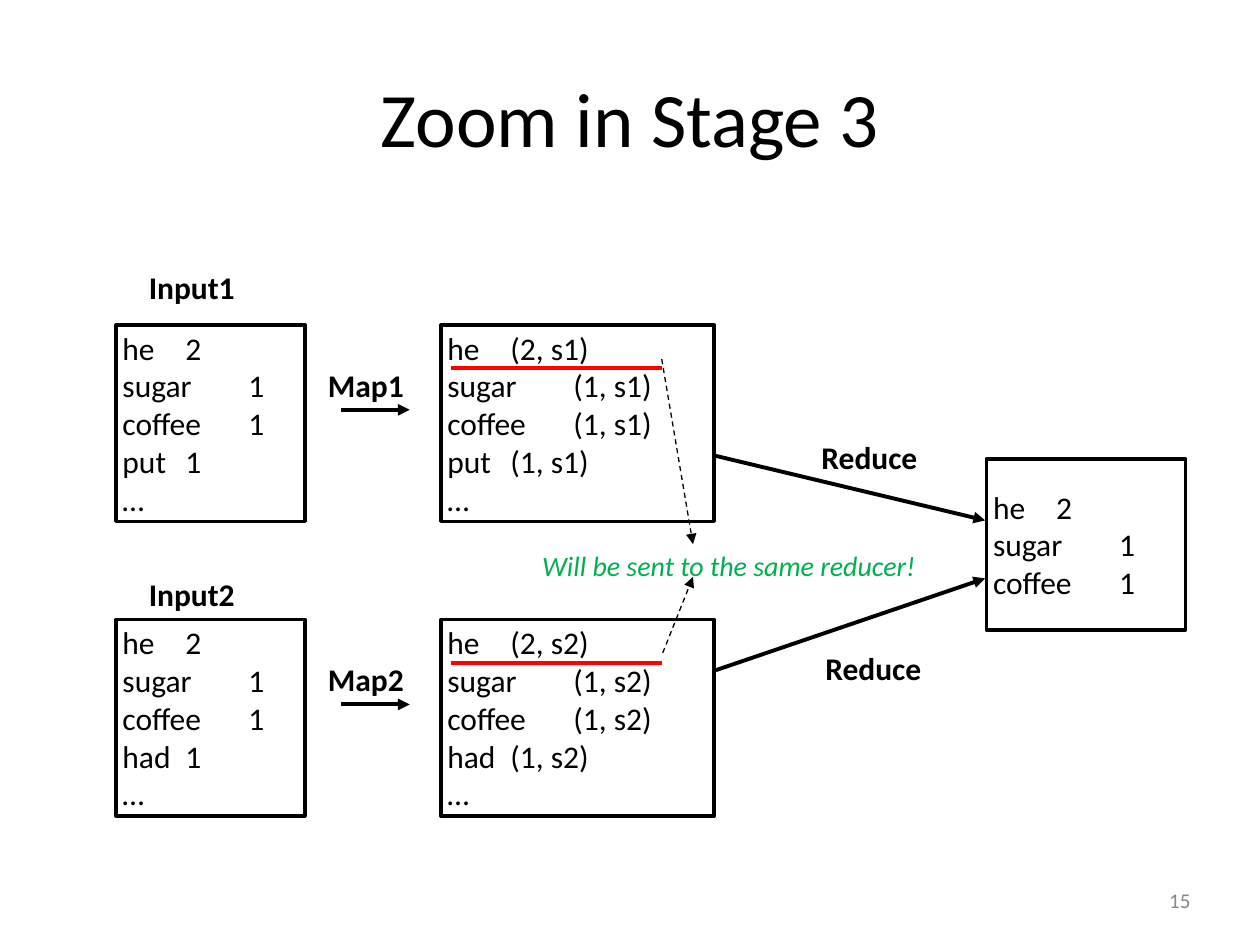
"""Build the Zoom in Stage 3 slide: two mapped inputs joined by a reducer."""
import pptx
import pptx.util
import pptx.dml.color
import pptx.enum.dml
import pptx.enum.shapes
import pptx.enum.text
import pptx.oxml
import pptx.oxml.ns

Cm, Pt = pptx.util.Cm, pptx.util.Pt
Align = pptx.enum.text.PP_ALIGN
Anchor = pptx.enum.text.MSO_ANCHOR

HUES = {"ink": "000000", "mark": "FF0000", "note": "00B050", "page": "888888"}
FONT = "Calibri"
INSET = 0.13
STEP = 5.94

COUNTS = [
    [("he", 2), ("sugar", 1), ("coffee ", 1), ("put", 1)],
    [("he", 2), ("sugar", 1), ("coffee ", 1), ("had", 1)],
]
REDUCED = [("he", 2), ("sugar", 1), ("coffee ", 1)]
INPUT_TOPS = [5.28, 11.46]
REDUCE = [
    ((16.43, 8.71), (14.43, 9.19), (19.86, 10.49)),
    ((16.51, 12.95), (14.43, 13.51), (19.86, 11.66)),
]
SENT = [((13.34, 7.24), (13.97, 10.97)), ((13.36, 13.16), (13.97, 11.63))]

deck = pptx.Presentation()
deck.slide_width, deck.slide_height = Cm(25.4), Cm(19.05)
slide = deck.slides.add_slide(deck.slide_layouts[6])


def tint(hue):
    return pptx.dml.color.RGBColor.from_string(HUES[hue])


def write(shape, lines, size=18, hue="ink", bold=False, italic=False,
          align=Align.LEFT, anchor=Anchor.TOP, wrap=True):
    frame = shape.text_frame
    frame.word_wrap = wrap
    frame.vertical_anchor = anchor
    frame.margin_left = frame.margin_right = Cm(INSET)
    frame.margin_top = frame.margin_bottom = Cm(INSET)
    frame.text = "\n".join(lines)
    for para in frame.paragraphs:
        para.alignment = align
        font = para.font
        font.name, font.size = FONT, Pt(size)
        font.bold, font.italic = bold, italic
        font.color.rgb = tint(hue)


def label(text, left, top, width=2.62, height=0.99, **style):
    box = slide.shapes.add_textbox(Cm(left), Cm(top), Cm(width), Cm(height))
    write(box, [text], **style)


def panel(rows, left, top, width, height):
    box = slide.shapes.add_shape(pptx.enum.shapes.MSO_SHAPE.RECTANGLE,
                                 Cm(left), Cm(top), Cm(width), Cm(height))
    box.shadow.inherit = False
    box.fill.background()
    box.line.color.rgb = tint("ink")
    box.line.width = Pt(2)
    write(box, rows, anchor=Anchor.MIDDLE)


def link(start, end, hue="ink", width=2.25, dash=False, head=True):
    line = slide.shapes.add_connector(
        pptx.enum.shapes.MSO_CONNECTOR.STRAIGHT,
        *[Cm(value) for value in start + end])
    line.line.color.rgb = tint(hue)
    line.line.width = Pt(width)
    if dash:
        line.line.dash_style = pptx.enum.dml.MSO_LINE.DASH
    space = pptx.oxml.ns.nsdecls("a")
    if head:
        line.line._get_or_add_ln().append(
            pptx.oxml.parse_xml(f'<a:tailEnd {space} type="triangle"/>'))
    line._element.spPr.append(pptx.oxml.parse_xml(f"<a:effectLst {space}/>"))


label("Zoom in Stage 3", 1.27, 0.76, 22.86, 3.18, size=44,
      align=Align.CENTER, anchor=Anchor.MIDDLE)
label("15", 23.39, 17.78, 0.74, 0.74, size=12, hue="page",
      align=Align.RIGHT, anchor=Anchor.MIDDLE, wrap=False)

for index, counts in enumerate(COUNTS):
    number, shift = index + 1, index * STEP
    plain = [f"{word}\t{count}" for word, count in counts]
    tagged = [f"{word}\t({count}, s{number})" for word, count in counts]
    panel(plain + ["…"], 2.34, 6.55 + shift, 3.81, 3.96)
    panel(tagged + ["…"], 8.89, 6.55 + shift, 5.51, 3.96)
    label(f"Input{number}", 2.87, INPUT_TOPS[index], bold=True)
    label(f"Map{number}", 6.48, 7.24 + shift, bold=True)
    link((6.88, 8.26 + shift), (8.26, 8.26 + shift))
    link((9.09, 7.42 + shift), (13.34, 7.42 + shift), hue="mark", head=False)

panel([f"{word}\t{count}" for word, count in REDUCED], 19.89, 9.25, 4.01, 3.45)
for place, start, end in REDUCE:
    link(start, end)
    label("Reduce", *place, bold=True)

label("Will be sent to the same reducer!", 10.8, 10.92, 8.26, 1.6,
      size=16, hue="note", italic=True)
for start, end in SENT:
    link(start, end, width=0.75, dash=True)

deck.save("out.pptx")
